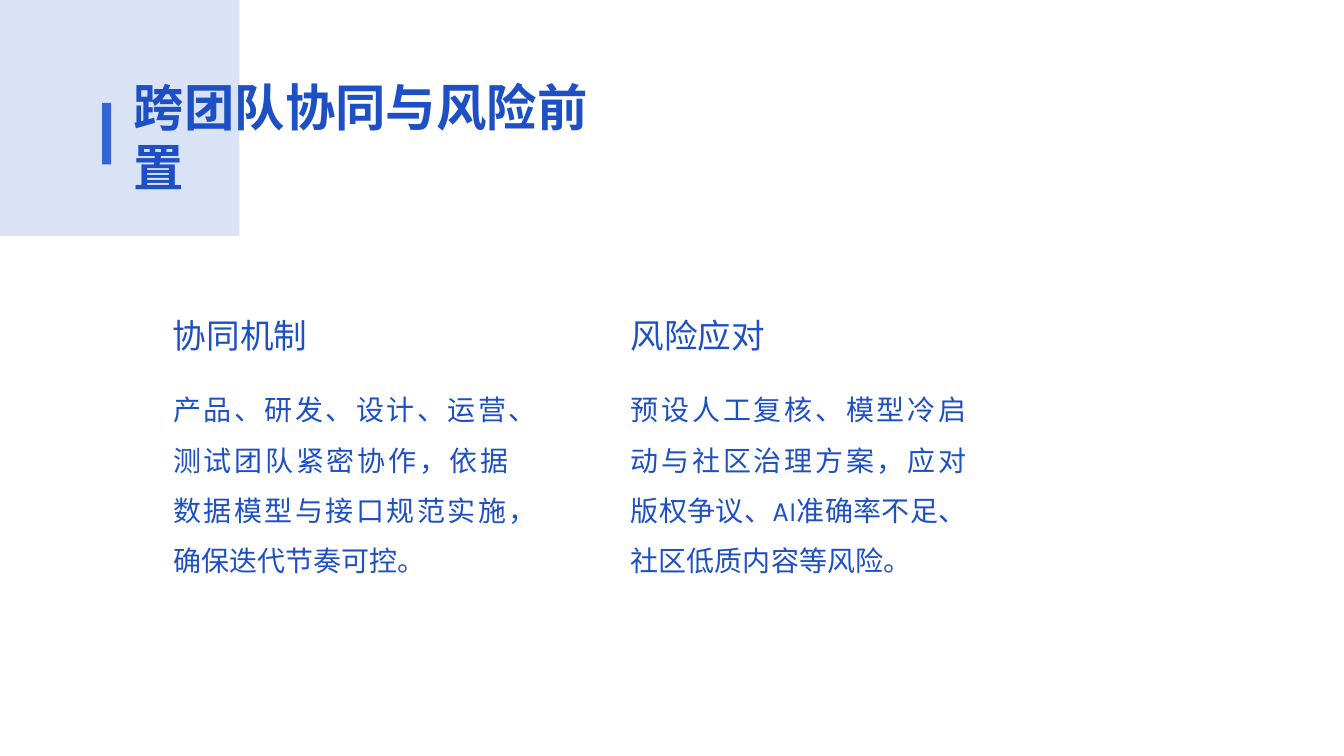
import pptx
import pptx.dml.color
import pptx.enum.shapes
import pptx.enum.text
import pptx.oxml
import pptx.oxml.ns
import pptx.util

Pt = pptx.util.Pt
Align = pptx.enum.text.PP_ALIGN
Anchor = pptx.enum.text.MSO_ANCHOR


def color(value):
    return pptx.dml.color.RGBColor.from_string(value)


class SlideBuilder:
    """Holds the style and the current slide; lengths are in points."""

    font_name = "Karla"
    ink = "1D50C4"

    def __init__(self, slide):
        self.slide = slide

    def place(self, shape, left, top, width, height):
        shape.left, shape.top = Pt(left), Pt(top)
        shape.width, shape.height = Pt(width), Pt(height)

    def fill_text(self, shape, text, size, bold=False, align=Align.LEFT,
                  anchor=Anchor.TOP, spacing=1.0):
        frame = shape.text_frame
        frame.text = text
        frame.word_wrap = True
        frame.auto_size = pptx.enum.text.MSO_AUTO_SIZE.NONE
        frame.vertical_anchor = anchor
        paragraph = frame.paragraphs[0]
        paragraph.alignment = align
        paragraph.line_spacing = spacing
        for run in paragraph.runs:
            run.font.name = self.font_name
            run.font.size = Pt(size)
            run.font.bold = bold
            run.font.color.rgb = color(self.ink)
            # East Asian characters take the same font
            east_asian = pptx.oxml.parse_xml(
                f'<a:ea {pptx.oxml.ns.nsdecls("a")} typeface="{self.font_name}"/>')
            run._r.get_or_add_rPr().append(east_asian)

    def title(self, text, box, size):
        title = self.slide.shapes.title
        self.place(title, *box)
        self.fill_text(title, text, size, bold=True)

    def text(self, text, box, size, **style):
        shape = self.slide.shapes.add_textbox(*(Pt(length) for length in box))
        self.fill_text(shape, text, size, **style)

    def rectangle(self, box, fill, behind_title=False):
        shape = self.slide.shapes.add_shape(
            pptx.enum.shapes.MSO_SHAPE.RECTANGLE, *(Pt(length) for length in box))
        shape.shadow.inherit = False
        shape.fill.solid()
        shape.fill.fore_color.rgb = color(fill)
        shape.line.fill.background()
        if behind_title:
            self.slide.shapes.title.element.addprevious(shape.element)


def main():
    presentation = pptx.Presentation()
    presentation.slide_width, presentation.slide_height = Pt(960), Pt(540)
    slide = presentation.slides.add_slide(presentation.slide_layouts[5])
    builder = SlideBuilder(slide)

    # Header
    builder.rectangle((0, -2, 171, 170.5), "DAE3F5", behind_title=True)
    builder.title("跨团队协同与风险前置", (88.5, 50.5, 355, 91.5), 36)
    builder.rectangle((73, 73.5, 6.5, 44), "3365D6")

    # Two columns
    columns = [
        ("协同机制", "产品、研发、设计、运营、测试团队紧密协作，依据数据模型与接口规范实施，确保迭代节奏可控。"),
        ("风险应对", "预设人工复核、模型冷启动与社区治理方案，应对版权争议、AI准确率不足、社区低质内容等风险。"),
    ]
    for index, (heading, body) in enumerate(columns):
        left = 116.5 + index * 327
        builder.text(heading, (left, 213, 233, 52.5), 24, anchor=Anchor.MIDDLE)
        builder.text(body, (left, 265, 254, 183.5), 20,
                     align=Align.JUSTIFY, spacing=1.5)

    presentation.save("out.pptx")


if __name__ == "__main__":
    main()
